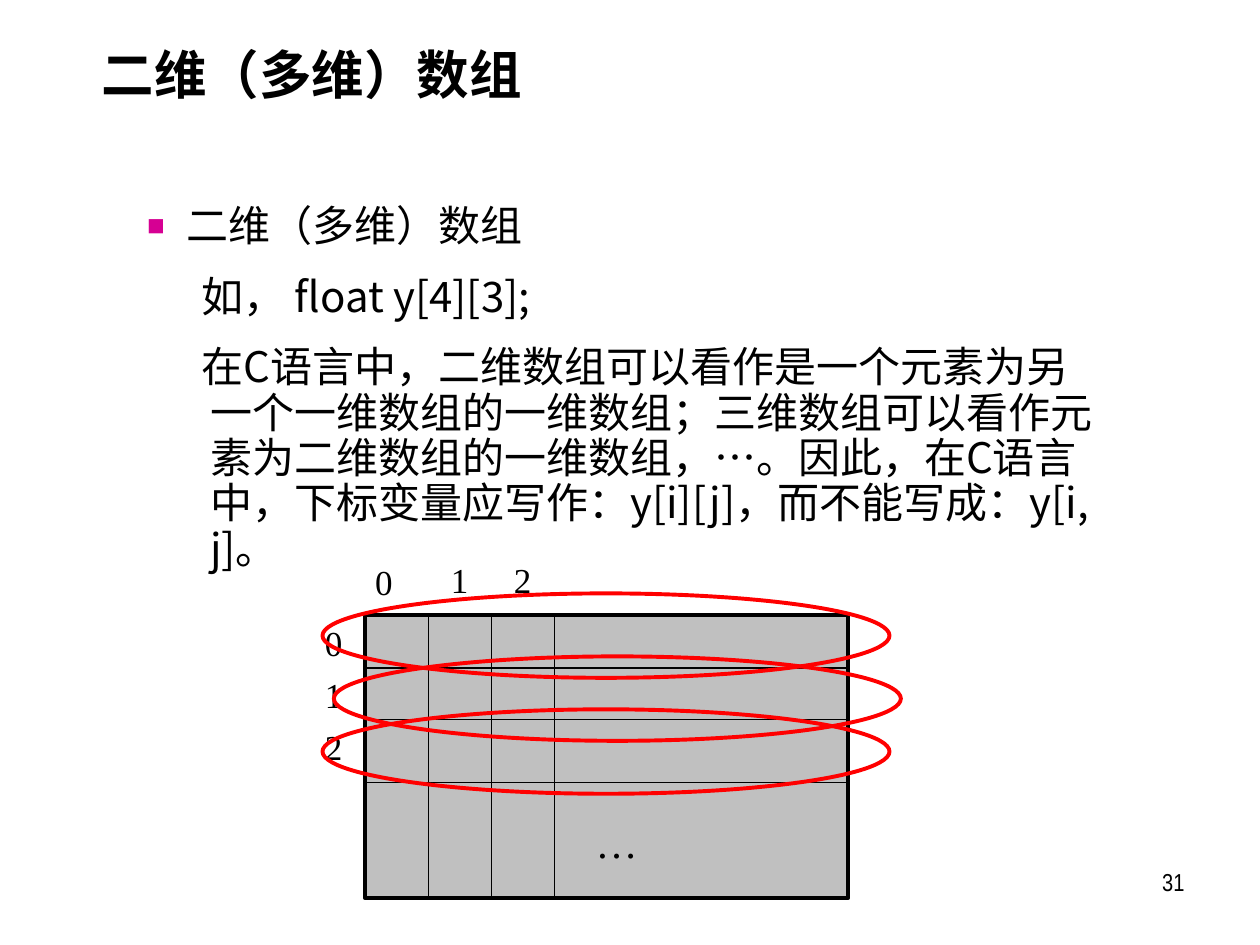
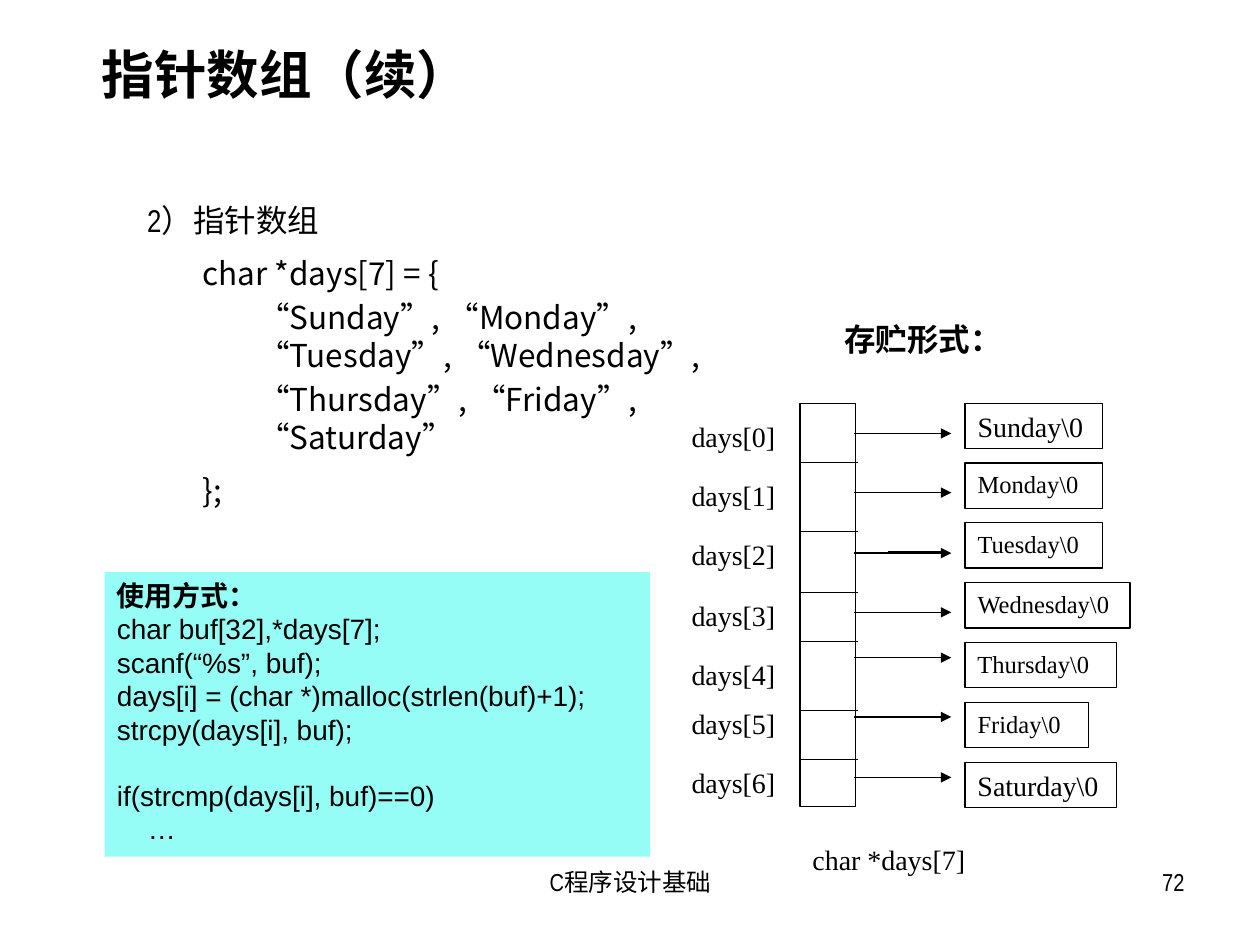
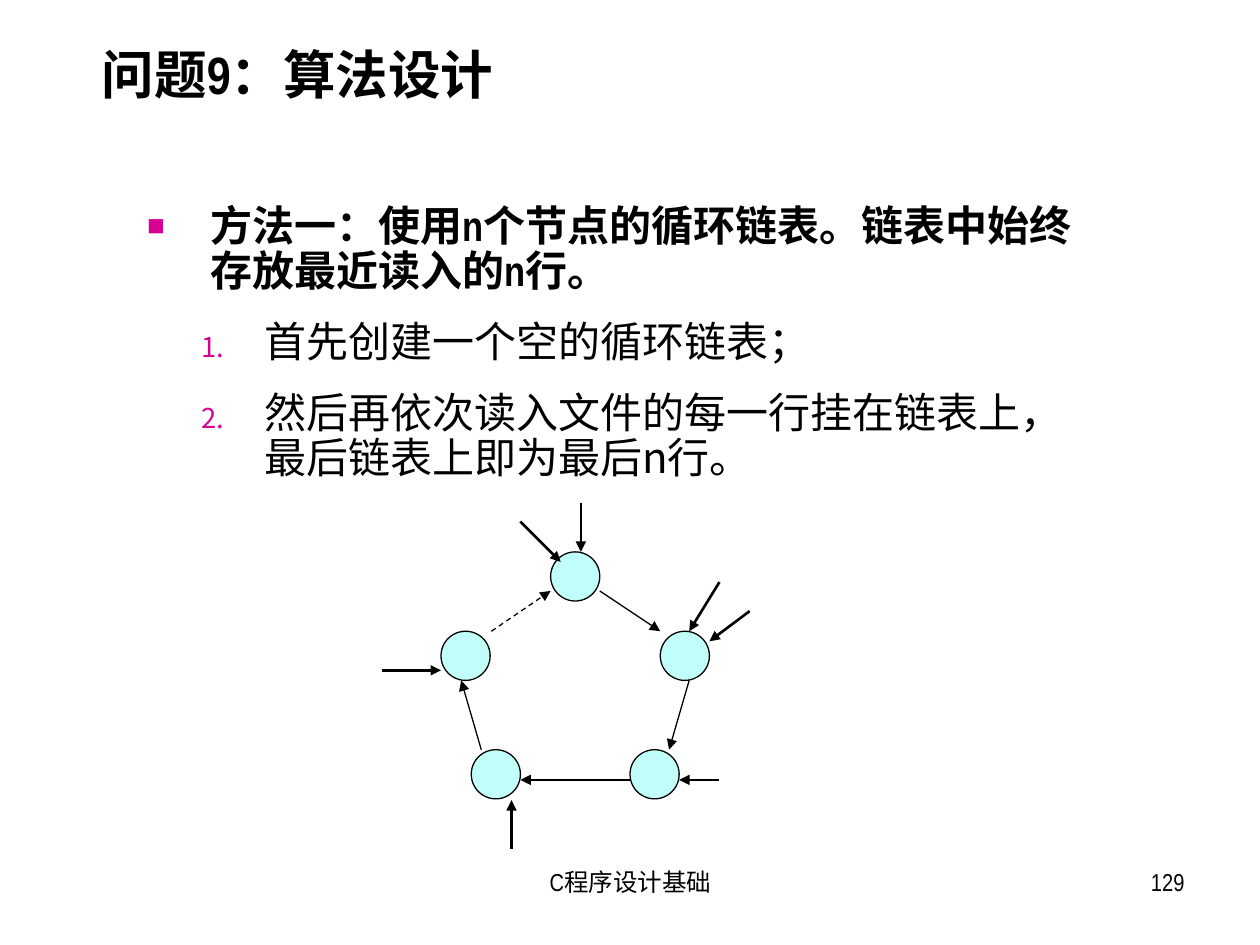
from lxml.etree import SubElement
from pptx import Presentation
from pptx.dml.color import RGBColor
from pptx.enum.dml import MSO_LINE
from pptx.enum.shapes import MSO_CONNECTOR, MSO_SHAPE
from pptx.enum.text import MSO_ANCHOR, PP_ALIGN
from pptx.oxml.ns import qn
from pptx.util import Inches, Pt

BLACK, WHITE, RED = "000000", "FFFFFF", "FF0000"
MAGENTA, GRAY, CYAN, PALE_CYAN = "D60093", "C0C0C0", "95FDF5", "C1FEF9"
NARROW, SANS, SERIF, ARIAL = "Arial Narrow", "Noto Sans CJK SC", "Times New Roman", "Arial"
COURSE = "C程序设计基础"
BODY_BOX = (1.07, 1.58, 7.77, 4.98)


def rgb(color):
    """Turn a hex string into a colour."""
    return RGBColor.from_string(color)


def add_bullet(properties, bullet, size):
    """Give a paragraph a coloured bullet, or a number if bullet is "1."."""
    color = SubElement(properties, qn("a:buClr"))
    SubElement(color, qn("a:srgbClr"), val=MAGENTA)
    SubElement(properties, qn("a:buSzPct"), val=str(size * 1000))
    if bullet == "1.":
        SubElement(properties, qn("a:buAutoNum"), type="arabicPeriod")
    else:
        SubElement(properties, qn("a:buFont"), typeface=ARIAL)
        SubElement(properties, qn("a:buChar"), char=bullet)


def write(frame, text, size, font, bold=False, align=PP_ALIGN.LEFT, spacing=None,
          before=0, indent=(0, 0), bullet=None, bullet_size=70):
    """Write one paragraph, using the first paragraph of the frame if it is empty."""
    first = not frame.paragraphs[0].runs
    paragraph = frame.paragraphs[0] if first else frame.add_paragraph()
    properties = paragraph._p.get_or_add_pPr()
    properties.set("marL", str(Inches(indent[0])))
    properties.set("indent", str(Inches(indent[1])))
    if bullet:
        add_bullet(properties, bullet, bullet_size)
    paragraph.alignment = align
    if spacing:
        paragraph.line_spacing = spacing
    if before and not first:
        paragraph.space_before = Pt(before)
    run = paragraph.add_run()
    run.text = text
    run.font.size = Pt(size)
    run.font.bold = bold
    run.font.color.rgb = rgb(BLACK)
    run.font.name = font
    SubElement(run._r.get_or_add_rPr(), qn("a:ea"), typeface=SANS)


def add_frame(slide, left, top, width, height, wrap=True):
    """Add a text box and return its text frame."""
    frame = slide.shapes.add_textbox(
        Inches(left), Inches(top), Inches(width), Inches(height)).text_frame
    frame.word_wrap = wrap
    return frame


def add_shape(slide, preset, left, top, width, height, fill=None, line=None, weight=0.75):
    """Add a preset shape and return its text frame."""
    shape = slide.shapes.add_shape(
        preset, Inches(left), Inches(top), Inches(width), Inches(height))
    shape.shadow.inherit = False
    if fill:
        shape.fill.solid()
        shape.fill.fore_color.rgb = rgb(fill)
    else:
        shape.fill.background()
    if line:
        shape.line.color.rgb = rgb(line)
        shape.line.width = Pt(weight)
    else:
        shape.line.fill.background()
    frame = shape.text_frame
    frame.word_wrap = True
    frame.vertical_anchor = MSO_ANCHOR.TOP
    return frame


def add_line(slide, x1, y1, x2, y2, weight=0.75, arrow=False, dashed=False):
    """Draw a black line, with an arrowhead at its end if asked."""
    line = slide.shapes.add_connector(
        MSO_CONNECTOR.STRAIGHT, Inches(x1), Inches(y1), Inches(x2), Inches(y2))
    line.line.color.rgb = rgb(BLACK)
    line.line.width = Pt(weight)
    if dashed:
        line.line.dash_style = MSO_LINE.DASH
    if arrow:
        SubElement(line.line._get_or_add_ln(), qn("a:tailEnd"), type="triangle")
    SubElement(line._element.spPr, qn("a:effectLst"))


def start_slide(deck, title, number, footer=COURSE):
    """Add a slide with its title, footer and number."""
    slide = deck.slides.add_slide(deck.slide_layouts[6])
    if footer:
        write(add_frame(slide, 3.42, 6.83, 3.17, 0.52), footer, 14, NARROW,
              align=PP_ALIGN.CENTER)
    write(add_frame(slide, 7.17, 6.83, 2.33, 0.52), str(number), 14, NARROW,
          align=PP_ALIGN.RIGHT)
    heading = add_frame(slide, 0.71, 0.17, 8.96, 0.92)
    heading.vertical_anchor = MSO_ANCHOR.MIDDLE
    write(heading, title, 30, NARROW, bold=True, spacing=0.8)
    return slide


def draw_matrix(slide, left, top, width, height):
    """Draw the two-dimensional array with each row circled."""
    add_shape(slide, MSO_SHAPE.RECTANGLE, left, top, width, height, GRAY, BLACK, 2.25)
    for row in (0.42, 0.83, 1.33):
        add_line(slide, left, top + row, left + width, top + row, 1)
    for column in (0.5, 1, 1.5):
        add_line(slide, left + column, top, left + column, top + height, 1)
    write(add_frame(slide, left + 1.73, top + 1.55, 0.53, 0.5, False), "…", 24, SERIF)
    indexes = [("0", -0.02, -0.48), ("1", 0.58, -0.5), ("2", 1.08, -0.5),
               ("0", -0.42, 0), ("1", -0.42, 0.42), ("2", -0.42, 0.83)]
    for index, x, y in indexes:
        write(add_frame(slide, left + x, top + y, 0.34, 0.43, False), index, 20, SERIF)
    for x, y in [(-0.34, -0.17), (-0.25, 0.33), (-0.34, 0.75)]:
        add_shape(slide, MSO_SHAPE.OVAL, left + x, top + y, 4.5, 0.67, line=RED, weight=2.25)


def draw_days(slide, left, top):
    """Draw the pointer array and the strings its elements point to."""
    days = [("Sunday", 16, 1.09, 0.08, 0.24), ("Monday", 14, 1.09, 0.55, 0.71),
            ("Tuesday", 14, 1.09, 1.02, 1.19), ("Wednesday", 14, 1.31, 1.5, 1.66),
            ("Thursday", 14, 1.2, 1.97, 2.02), ("Friday", 14, 0.98, 2.36, 2.49),
            ("Saturday", 16, 1.2, 2.83, 2.97)]
    box = MSO_SHAPE.RECTANGLE
    add_shape(slide, box, left + 0.96, top, 0.44, 3.2, WHITE, BLACK)
    for index, (day, size, width, label_y, arrow_y) in enumerate(days):
        text = add_shape(slide, box, left + 2.27, top + 0.475 * index, width, 0.36, WHITE, BLACK)
        write(text, f"{day}\\0", size, SERIF, align=PP_ALIGN.JUSTIFY)
        add_line(slide, left + 1.39, top + arrow_y, left + 2.16, top + arrow_y, arrow=True)
        label = add_shape(slide, box, left, top + label_y, 0.87, 0.36, WHITE)
        write(label, f"days[{index}]", 16, SERIF, align=PP_ALIGN.JUSTIFY)
    declaration = add_shape(slide, box, left + 0.96, top + 3.44, 1.86, 0.47, WHITE)
    write(declaration, "char *days[7]", 16, SERIF, align=PP_ALIGN.JUSTIFY)
    for divider in (0.47, 1.02, 1.5, 1.89, 2.44, 2.83):
        add_line(slide, left + 0.95, top + divider, left + 1.42, top + divider)
    add_line(slide, left + 1.66, top + 1.18, left + 2.13, top + 1.18)


def draw_usage(slide, left, top, width, height):
    """Draw the panel with the usage code."""
    panel = add_shape(slide, MSO_SHAPE.RECTANGLE, left, top, width, height, CYAN)
    write(panel, "使用方式：", 16, ARIAL, bold=True)
    for code in ("char buf[32],*days[7];", "scanf(“%s”, buf);",
                 "days[i] = (char *)malloc(strlen(buf)+1);", "strcpy(days[i], buf);"):
        write(panel, code, 16, ARIAL)
    write(panel, "if(strcmp(days[i], buf)==0)", 16, ARIAL, before=18.4)
    write(panel, "    …", 16, ARIAL)


def draw_ring(slide, left, top):
    """Draw the circular list and the pointers into it."""
    nodes = [(1.34, 0.39), (2.21, 1.02), (1.97, 1.96), (0.71, 1.96), (0.47, 1.02)]
    links = [(1.73, 0.7, 2.21, 1.02), (2.44, 1.41, 2.28, 1.96), (1.97, 2.2, 1.1, 2.2),
             (0.79, 1.96, 0.63, 1.41), (0.87, 1.02, 1.34, 0.7)]
    pointers = [(1.58, 0, 1.58, 0.39), (2.92, 0.86, 2.6, 1.1), (2.68, 2.2, 2.36, 2.2),
                (1.03, 2.75, 1.03, 2.36), (0, 1.33, 0.47, 1.33), (1.1, 0.15, 1.42, 0.47),
                (2.68, 0.63, 2.44, 1.02)]
    for x, y in nodes:
        add_shape(slide, MSO_SHAPE.OVAL, left + x, top + y, 0.39, 0.39, PALE_CYAN, BLACK)
    for weight, arrows in ((0.75, links), (1.5, pointers)):
        for arrow in arrows:
            x1, y1, x2, y2 = arrow
            add_line(slide, left + x1, top + y1, left + x2, top + y2, weight,
                     arrow=True, dashed=arrow == links[-1])


def build_matrix_slide(deck):
    """Build the slide on two-dimensional arrays."""
    slide = start_slide(deck, "二维（多维）数组", 31, footer=None)
    body = add_frame(slide, *BODY_BOX)
    write(body, "二维（多维）数组", 24, NARROW, spacing=0.9, indent=(0.31, -0.31), bullet="■")
    for text in ("如， float y[4][3];",
                 "在C语言中，二维数组可以看作是一个元素为另一个一维数组的一维数组；"
                 "三维数组可以看作元素为二维数组的一维数组，…。因此，在C语言中，"
                 "下标变量应写作：y[i][j]，而不能写成：y[i, j]。"):
        write(body, text, 24, SANS, spacing=0.9, before=14.4, indent=(0.5, -0.07))
    draw_matrix(slide, 2.9, 4.88, 3.83, 2.25)


def build_pointer_slide(deck):
    """Build the slide on arrays of pointers."""
    slide = start_slide(deck, "指针数组（续）", 72)
    body = add_frame(slide, 1.07, 1.58, 5.35, 2.56)
    outer = dict(spacing=0.9, before=10.8, indent=(0.76, -0.32))
    write(body, "2）指针数组", 18, NARROW, spacing=0.9, indent=(0.31, -0.31))
    write(body, "char *days[7] = {", 18, SANS, **outer)
    for names in ("“Sunday”, “Monday”, “Tuesday”, “Wednesday”,",
                  "“Thursday”, “Friday”, “Saturday”"):
        write(body, names, 18, SANS, before=3.6, indent=(0.88, 0))
    write(body, "};", 18, SANS, **outer)
    draw_days(slide, 5.39, 3.2)
    write(add_frame(slide, 6.6, 2.49, 1.48, 0.4, False), "存贮形式：", 18, ARIAL, bold=True)
    draw_usage(slide, 0.83, 4.54, 4.33, 2.26)


def build_ring_slide(deck):
    """Build the slide on the circular list."""
    slide = start_slide(deck, "问题9：算法设计", 129)
    body = add_frame(slide, *BODY_BOX)
    write(body, "方法一：使用n个节点的循环链表。链表中始终存放最近读入的n行。", 24, NARROW,
          bold=True, spacing=0.9, indent=(0.5, -0.5), bullet="■")
    for step in ("首先创建一个空的循环链表；",
                 "然后再依次读入文件的每一行挂在链表上，最后链表上即为最后n行。"):
        write(body, step, 24, SANS, spacing=0.9, before=14.4, indent=(0.93, -0.5),
              bullet="1.", bullet_size=65)
    draw_ring(slide, 3.03, 3.99)


def main():
    """Build and save the deck."""
    deck = Presentation()
    deck.slide_width, deck.slide_height = Inches(10), Inches(7.5)
    build_matrix_slide(deck)
    build_pointer_slide(deck)
    build_ring_slide(deck)
    deck.save("out.pptx")


if __name__ == "__main__":
    main()
